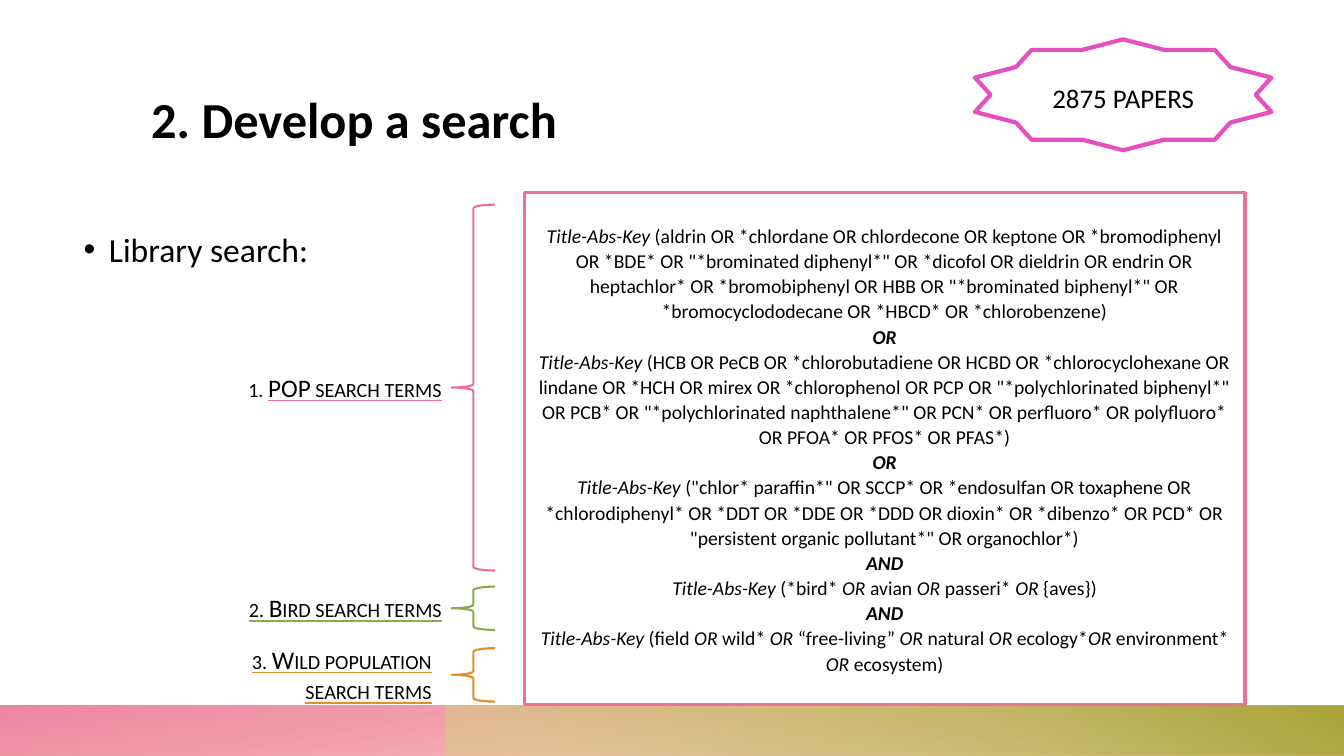
from lxml import etree
from pptx import Presentation, util as u
from pptx.dml.color import RGBColor
from pptx.enum import shapes, text
from pptx.oxml import ns

WIDTH, HEIGHT = u.Inches(13.33), u.Inches(7.5)
FONT = "Calibri"
PINK, GREEN, ORANGE, MAGENTA = "ED7095", "89AC4C", "E48D2A", "E84FBE"
KIND = shapes.MSO_SHAPE
ALIGN = text.PP_ALIGN

QUERY = [
    '_Title-Abs-Key _(aldrin OR *chlordane OR chlordecone OR keptone OR *bromodiphenyl '
    'OR *BDE* OR "*brominated diphenyl*" OR *dicofol OR dieldrin OR endrin OR heptachlor* '
    'OR *bromobiphenyl OR HBB OR "*brominated biphenyl*" OR *bromocyclododecane OR *HBCD* '
    'OR *chlorobenzene)',
    "OR",
    '_Title-Abs-Key _(HCB OR PeCB OR *chlorobutadiene OR HCBD OR *chlorocyclohexane OR '
    'lindane OR *HCH OR mirex OR *chlorophenol OR PCP OR "*polychlorinated biphenyl*" OR '
    'PCB* OR "*polychlorinated naphthalene*" OR PCN* OR perfluoro* OR polyfluoro* OR PFOA* '
    'OR PFOS* OR PFAS*)',
    "OR",
    '_Title-Abs-Key _("chlor* paraffin*" OR SCCP* OR *endosulfan OR toxaphene OR '
    '*chlorodiphenyl* OR *DDT OR *DDE OR *DDD OR dioxin* OR *dibenzo* OR PCD* OR '
    '"persistent organic pollutant*" OR organochlor*)',
    "AND",
    "_Title-Abs-Key _(*bird* _OR_ avian _OR _passeri* _OR_ {aves})",
    "AND",
    "_Title-Abs-Key _(field _OR_ wild* _OR_ “free-living” _OR_ natural _OR_ ecology*_OR_ "
    "environment* _OR_ ecosystem)",
]

SEARCH_GROUPS = [
    (PINK, (27.07, 48.4), (14.78, 48.53, 18.83, 5.33), "1. ", "POP search terms"),
    (GREEN, (77.6, 5.73), (15.23, 77.73, 18.38, 5.33), "", "2. Bird search terms"),
    (ORANGE, (85.73, 7.07), (15.23, 84.53, 17.63, 9.47), "", "3. Wild population search terms"),
]


def rgb(color):
    return RGBColor.from_string(color)


def place(x, y, w, h):
    return [int(WIDTH * x / 100), int(HEIGHT * y / 100),
            int(WIDTH * w / 100), int(HEIGHT * h / 100)]


def element(parent, tag, **attrs):
    child = etree.SubElement(parent, ns.qn(tag))
    for key, value in attrs.items():
        child.set(key, str(value))
    return child


def add_run(p, content, size, bold=False, italic=False):
    r = p.add_run()
    r.text = content
    r.font.name, r.font.size = FONT, u.Pt(size)
    r.font.bold, r.font.italic = bold, italic
    r.font.color.rgb = rgb("000000")
    return r


def small_caps(r, underline=None):
    props = r.font._element
    props.set("cap", "small")
    if underline:
        r.font.underline = True
        fill = etree.Element(ns.qn("a:uFill"))
        element(element(fill, "a:solidFill"), "a:srgbClr", val=underline)
        props.find(ns.qn("a:latin")).addprevious(fill)


def add_outline(s, kind, box, color, width, fill=None):
    sp = s.shapes.add_shape(kind, *place(*box))
    sp.shadow.inherit = False
    if fill:
        sp.fill.solid()
        sp.fill.fore_color.rgb = rgb(fill)
    else:
        sp.fill.background()
    sp.line.color.rgb = rgb(color)
    sp.line.width = u.Pt(width)
    sp.text_frame.vertical_anchor = text.MSO_ANCHOR.MIDDLE
    return sp


def add_band(s, box, stops, angle, rotation=0):
    sp = s.shapes.add_shape(KIND.RECTANGLE, *place(*box))
    sp.shadow.inherit = False
    sp.line.fill.background()
    sp.rotation = rotation
    props = sp._element.spPr
    props.find(ns.qn("a:xfrm")).set("flipH", "1")
    grad = etree.Element(ns.qn("a:gradFill"), rotWithShape="1")
    stop_list = element(grad, "a:gsLst")
    for position, color, opacity in stops:
        stop = element(stop_list, "a:gs", pos=position * 1000)
        element(element(stop, "a:srgbClr", val=color), "a:alpha", val=opacity * 1000)
    element(grad, "a:lin", ang=angle * 60000, scaled=0)
    props.find(ns.qn("a:prstGeom")).addnext(grad)


def add_text(s, box, inset=True):
    tf = s.shapes.add_textbox(*place(*box)).text_frame
    tf.word_wrap = True
    if not inset:
        tf.margin_left = tf.margin_right = tf.margin_top = tf.margin_bottom = 0
    return tf


def add_heading(s):
    tf = add_text(s, (11.25, 11.6, 84.02, 18), inset=False)
    add_run(tf.paragraphs[0], "2. Develop a search", 36, bold=True)


def add_bullet(s):
    p = add_text(s, (6.23, 29.2, 87.55, 57.6), inset=False).paragraphs[0]
    p.line_spacing, p.space_before = 1.2, u.Pt(10)
    add_run(p, "Library search:", 24)
    props = p._p.get_or_add_pPr()
    props.set("marL", str(u.Inches(0.25)))
    props.set("indent", str(-u.Inches(0.25)))
    element(props, "a:buFont", typeface="Arial")
    element(props, "a:buChar", char="•")


def add_query(s):
    tf = add_outline(s, KIND.RECTANGLE, (39, 25.47, 53.64, 67.73), PINK, 2.25, "FFFFFF").text_frame
    tf.word_wrap = True
    for i, line in enumerate(QUERY):
        p = tf.add_paragraph() if i else tf.paragraphs[0]
        p.alignment, p.line_spacing = ALIGN.CENTER, 1.07
        if line in ("OR", "AND"):
            add_run(p, line, 14, bold=True, italic=True)
            continue
        for j, part in enumerate(line.split("_")):
            if part:
                add_run(p, part, 14, italic=j % 2 == 1)


def add_search_group(s, color, span, box, number, label):
    top, height = span
    add_outline(s, KIND.LEFT_BRACE, (33.61, top, 3.23, height), color, 1.5)
    p = add_text(s, box).paragraphs[0]
    p.alignment = ALIGN.RIGHT
    if number:
        small_caps(add_run(p, number, 18))
    small_caps(add_run(p, label, 18), underline=color)


def add_paper_count(s):
    sp = add_outline(s, KIND.STAR_10_POINT, (72.54, 5.2, 22.06, 14.67), MAGENTA, 3)
    p = sp.text_frame.paragraphs[0]
    p.alignment = ALIGN.CENTER
    small_caps(add_run(p, "2875 papers", 24))


def main():
    prs = Presentation()
    prs.slide_width, prs.slide_height = WIDTH, HEIGHT
    s = prs.slides.add_slide(prs.slide_layouts[6])
    add_band(s, (0, 93.33, 100, 6.67), [(14, "E96150", 28), (100, PINK, 85)], 100, 180)
    add_band(s, (33.16, 93.33, 66.84, 6.67), [(9, "D4D081", 55), (99, "AAA43A", 100)], 240)
    add_heading(s)
    add_bullet(s)
    add_query(s)
    for group in SEARCH_GROUPS:
        add_search_group(s, *group)
    add_paper_count(s)
    prs.save("out.pptx")


if __name__ == "__main__":
    main()
